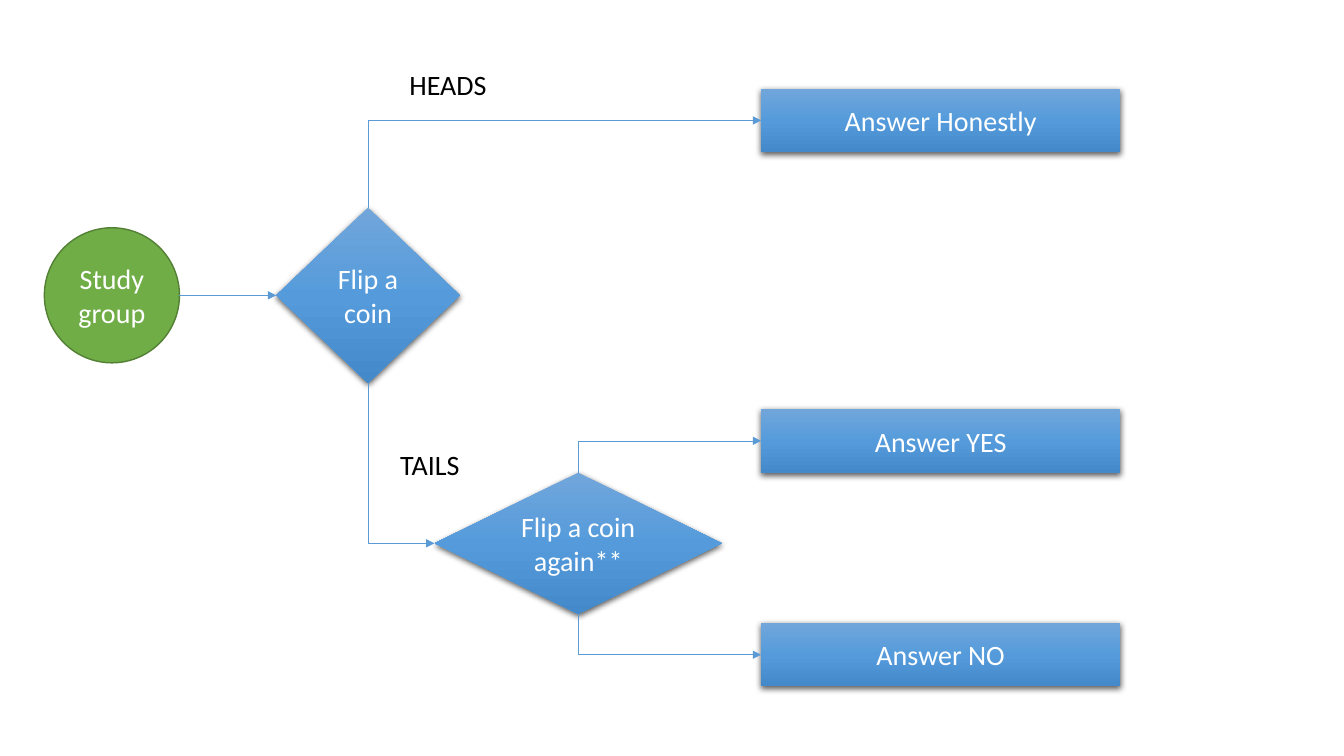
from copy import deepcopy

from lxml.etree import SubElement
from pptx import Presentation
from pptx.dml.color import RGBColor
from pptx.enum.shapes import MSO_CONNECTOR as LINK, MSO_SHAPE as SHAPE
from pptx.enum.text import MSO_ANCHOR, MSO_AUTO_SIZE, PP_ALIGN
from pptx.oxml.ns import qn
from pptx.util import Inches, Pt

BLUES = [(0, "71A6DB"), (0.5, "559BDB"), (1, "448ACA")]
TOP, LEFT, BOTTOM = 0, 1, 2  # connection sites
ANSWER_X, ANSWER_W, ANSWER_H = 7.55, 3.56, 0.63


def rgb(value):
    return RGBColor.from_string(value)


def write(sp, text, color, align):
    tf = sp.text_frame
    tf.word_wrap = True
    tf.text = text
    p = tf.paragraphs[0]
    p.alignment = align
    font = p.runs[0].font
    font.name, font.size = "Calibri", Pt(20)
    font.color.rgb = rgb(color)
    return p


prs = Presentation()
prs.slide_width, prs.slide_height = Inches(13.33), Inches(7.5)
slide = prs.slides.add_slide(prs.slide_layouts[1])
title, heads = slide.placeholders
title._element.getparent().remove(title._element)

# Steps of the flow chart
steps = {}
for text, kind, *box in [
    ("Study group", SHAPE.OVAL, 0.44, 2.26, 1.34, 1.34),
    ("Flip a coin", SHAPE.FLOWCHART_DECISION, 2.74, 2.06, 1.82, 1.74),
    ("Answer Honestly", SHAPE.RECTANGLE, ANSWER_X, 0.88, ANSWER_W, ANSWER_H),
    ("Flip a coin again**", SHAPE.FLOWCHART_DECISION, 4.31, 4.69, 2.85, 1.4),
    ("Answer YES", SHAPE.RECTANGLE, ANSWER_X, 4.06, ANSWER_W, ANSWER_H),
    ("Answer NO", SHAPE.RECTANGLE, ANSWER_X, 6.18, ANSWER_W, ANSWER_H),
]:
    sp = steps[text] = slide.shapes.add_shape(kind, *map(Inches, box))
    sp.shadow.inherit = False
    write(sp, text, "FFFFFF", PP_ALIGN.CENTER)
    sp.text_frame.vertical_anchor = MSO_ANCHOR.MIDDLE
    if kind == SHAPE.OVAL:
        sp.fill.solid()
        sp.fill.fore_color.rgb = rgb("70AD47")
        sp.line.color.rgb = rgb("538035")
        sp.line.width = Pt(1)
        continue
    sp.line.fill.background()
    sp.fill.gradient()
    sp.fill.gradient_angle = 270
    spPr = sp._element.spPr
    stops = spPr.find(".//" + qn("a:gsLst"))
    stops.append(deepcopy(stops[-1]))
    for stop, (position, color) in zip(sp.fill.gradient_stops, BLUES):
        stop.position = position
        stop.color.rgb = rgb(color)
    shadow = SubElement(spPr.find(qn("a:effectLst")), qn("a:outerShdw"),
                        blurRad=str(Pt(4.5)), dist=str(Pt(1.5)),
                        dir="5400000", algn="ctr", rotWithShape="0")
    black = SubElement(shadow, qn("a:srgbClr"), val="000000")
    SubElement(black, qn("a:alpha"), val="63000")

# Arrows: each enters its target from the left
for source, site, target in [
    ("Study group", None, "Flip a coin"),
    ("Flip a coin", TOP, "Answer Honestly"),
    ("Flip a coin", BOTTOM, "Flip a coin again**"),
    ("Flip a coin again**", TOP, "Answer YES"),
    ("Flip a coin again**", BOTTOM, "Answer NO"),
]:
    start, end = steps[source], steps[target]
    kind = LINK.STRAIGHT if site is None else LINK.ELBOW
    y = start.top + start.height // 2
    cxn = slide.shapes.add_connector(kind, start.left + start.width, y, end.left, y)
    cxn.end_connect(end, LEFT)
    spPr = cxn._element.spPr
    if site is not None:
        cxn.begin_connect(start, site)
        # One-bend connector: its frame is stored turned by a quarter
        dx, dy = cxn.width, cxn.height
        mid_x, mid_y = cxn.left + dx // 2, cxn.top + dy // 2
        cxn.left, cxn.top = mid_x - dy // 2, mid_y - dx // 2
        cxn.width, cxn.height = dy, dx
        spPr.find(qn("a:prstGeom")).set("prst", "bentConnector2")
        xfrm = spPr.find(qn("a:xfrm"))
        xfrm.set("rot", "5400000" if site == TOP else "16200000")
        xfrm.set("flipH", "1")
        xfrm.set("flipV", "1" if site == TOP else "0")
    cxn.line.color.rgb = rgb("5B9BD5")
    cxn.line.width = Pt(0.5)
    SubElement(spPr.find(qn("a:ln")), qn("a:tailEnd"), type="triangle")
    SubElement(spPr, qn("a:effectLst"))

# Branch labels
tails = slide.shapes.add_textbox(0, 0, 0, 0)
for sp, text, x, y in [(heads, "HEADS", 3.96, 0.66), (tails, "TAILS", 3.87, 4.43)]:
    sp.left, sp.top, sp.width, sp.height = map(Inches, (x, y, 1.49, 0.61))
    p = write(sp, text, "000000", PP_ALIGN.LEFT)
    sp.text_frame.auto_size = MSO_AUTO_SIZE.NONE
    p.line_spacing, p.space_before = 0.9, Pt(10)
    pPr = p._p.get_or_add_pPr()
    pPr.set("marL", "0")
    pPr.set("indent", "0")
    SubElement(pPr, qn("a:buNone"))

prs.save("out.pptx")
